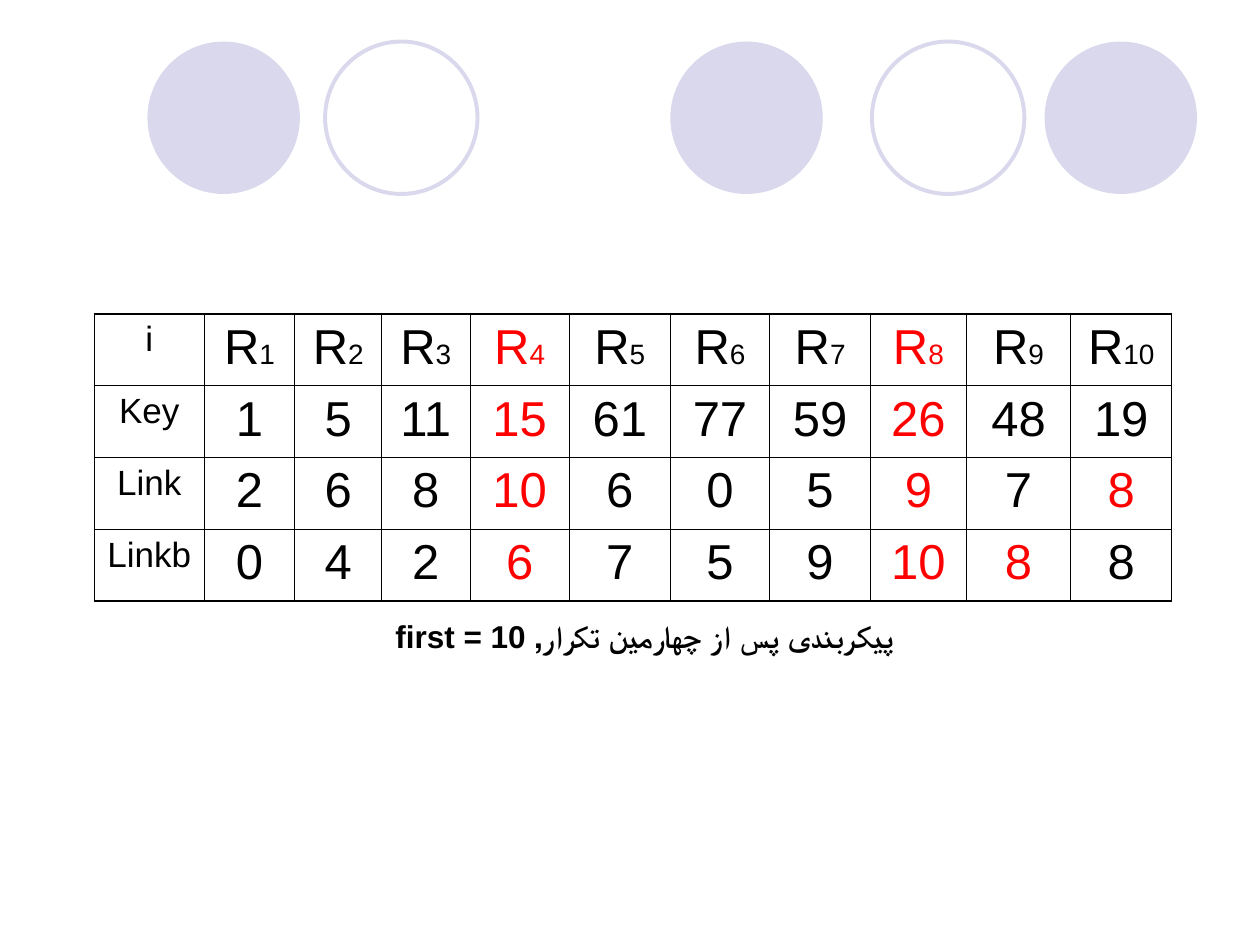
import dataclasses

import lxml.etree
import pptx
import pptx.dml.color
import pptx.enum.shapes
import pptx.enum.text
import pptx.oxml.ns
import pptx.util


@dataclasses.dataclass(frozen=True)
class Theme:
    font: str = "Arial"
    ink: str = "000000"
    accent: str = "FF0000"
    circle: str = "D9D8EC"
    label: int = 20
    value: int = 28
    index: int = 16
    caption: int = 18
    ring: float = 2.25
    outer: float = 1.08
    inner: float = 0.45


THEME = Theme()
SLIDE_W, SLIDE_H = 10, 7.5

CIRCLE_TOP, CIRCLE_SIZE = 4.4, 12.1
DISC_LEFTS = (11.7, 53.2, 82.9)
RING_LEFTS = (25.8, 69.2)

TABLE_LEFT, TABLE_TOP, ROW_H = 7.5, 33.2, 7.6
COL_WIDTHS = (8.7, 7.2, 6.9, 7, 7.9, 8, 7.9, 8, 7.6, 8.3, 8)
ROWS = (
    ("i", *range(1, 11)),
    ("Key", 1, 5, 11, 15, 61, 77, 59, 26, 48, 19),
    ("Link", 2, 6, 8, 10, 6, 0, 5, 9, 7, 8),
    ("Linkb", 0, 4, 2, 6, 7, 5, 9, 10, 8, 8),
)
RED_COLS = {4, 8}
RED_CELLS = {(2, 10), (3, 9)}


def x(share):
    return pptx.util.Inches(SLIDE_W * share / 100)


def y(share):
    return pptx.util.Inches(SLIDE_H * share / 100)


def rgb(color):
    return pptx.dml.color.RGBColor.from_string(color)


def add_circle(slide, left, filled):
    sp = slide.shapes.add_shape(
        pptx.enum.shapes.MSO_SHAPE.OVAL,
        x(left), y(CIRCLE_TOP), x(CIRCLE_SIZE), x(CIRCLE_SIZE))
    sp.shadow.inherit = False
    if filled:
        sp.fill.solid()
        sp.fill.fore_color.rgb = rgb(THEME.circle)
        sp.line.fill.background()
    else:
        sp.fill.background()
        sp.line.color.rgb = rgb(THEME.circle)
        sp.line.width = pptx.util.Pt(THEME.ring)


def format_run(r, size, color, bold=False):
    r.font.name = THEME.font
    r.font.size = pptx.util.Pt(size)
    r.font.bold = bold
    r.font.color.rgb = rgb(color)


def set_borders(cell, row, col):
    outer_sides = {
        "lnL": col == 0,
        "lnR": col == len(COL_WIDTHS) - 1,
        "lnT": row == 0,
        "lnB": row == len(ROWS) - 1,
    }
    qn = pptx.oxml.ns.qn
    tc_pr = cell._tc.get_or_add_tcPr()
    for side, outer in outer_sides.items():
        width = pptx.util.Pt(THEME.outer if outer else THEME.inner)
        ln = lxml.etree.SubElement(tc_pr, qn(f"a:{side}"), w=str(width))
        fill = lxml.etree.SubElement(ln, qn("a:solidFill"))
        lxml.etree.SubElement(fill, qn("a:srgbClr"), val=THEME.ink)


def fill_cell(cell, row, col, value):
    set_borders(cell, row, col)
    cell.fill.background()
    p = cell.text_frame.paragraphs[0]
    p.alignment = pptx.enum.text.PP_ALIGN.CENTER
    if col == 0:
        parts = [(value, THEME.label)]
    elif row == 0:
        parts = [("R", THEME.value), (str(value), THEME.index)]
    else:
        parts = [(str(value), THEME.value)]
    red = col in RED_COLS or (row, col) in RED_CELLS
    for text, size in parts:
        r = p.add_run()
        r.text = text
        format_run(r, size, THEME.accent if red else THEME.ink)


def add_record_table(slide):
    table = slide.shapes.add_table(
        len(ROWS), len(COL_WIDTHS), x(TABLE_LEFT), y(TABLE_TOP),
        x(sum(COL_WIDTHS)), y(ROW_H * len(ROWS))).table
    table.first_row = False
    table.horz_banding = False
    for column, width in zip(table.columns, COL_WIDTHS):
        column.width = x(width)
    for row, values in enumerate(ROWS):
        table.rows[row].height = y(ROW_H)
        for col, value in enumerate(values):
            fill_cell(table.cell(row, col), row, col, value)


def add_caption(slide, text):
    sp = slide.shapes.add_textbox(x(11.4), y(64.67), x(79.5), y(17.6))
    tf = sp.text_frame
    tf.word_wrap = True
    tf.text = text
    p = tf.paragraphs[0]
    p.alignment = pptx.enum.text.PP_ALIGN.CENTER
    p._p.get_or_add_pPr().set("rtl", "1")
    format_run(p.runs[0], THEME.caption, THEME.ink, bold=True)


def main():
    prs = pptx.Presentation()
    prs.slide_width, prs.slide_height = x(100), y(100)
    slide = prs.slides.add_slide(prs.slide_layouts[6])
    for left in DISC_LEFTS:
        add_circle(slide, left, filled=True)
    for left in RING_LEFTS:
        add_circle(slide, left, filled=False)
    add_record_table(slide)
    add_caption(slide, "پیکربندی پس از چهارمین تکرار, first = 10")
    prs.save("out.pptx")


if __name__ == "__main__":
    main()
